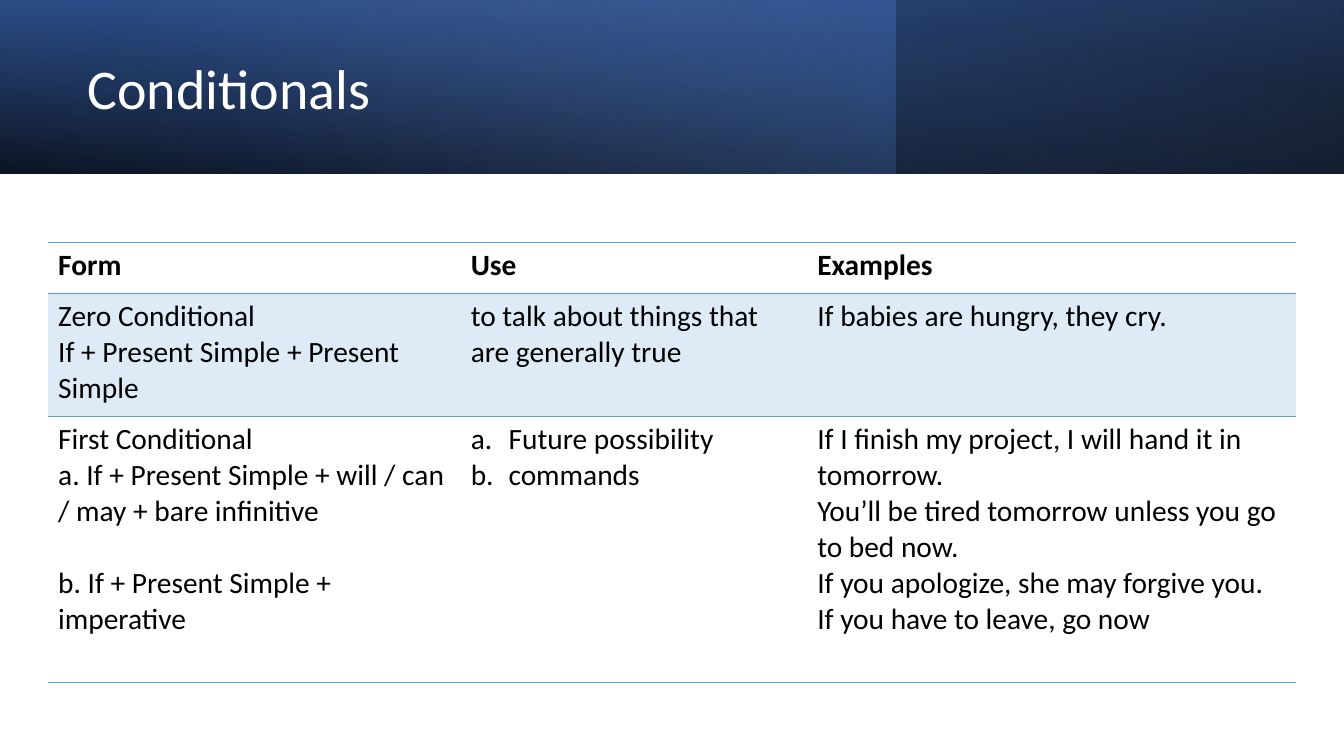
"""Build the grammar slide on conditionals."""
from lxml import etree
from pptx import Presentation
from pptx.dml.color import RGBColor
from pptx.enum import shapes, text
from pptx.oxml import parse_xml
from pptx.oxml.ns import nsdecls, qn
from pptx.util import Pt

BLACK = RGBColor(0x00, 0x00, 0x00)
WHITE = RGBColor(0xFF, 0xFF, 0xFF)
NAVY = RGBColor(0x2F, 0x55, 0x97)
BLUE = RGBColor(0x44, 0x72, 0xC4)
PALE_BLUE = RGBColor(0x8F, 0xAA, 0xDC)
RULE = RGBColor(0x5B, 0x9B, 0xD5)
BAND = RGBColor(0xDE, 0xEB, 0xF7)

FONT = "Calibri"
WIDTH, HEIGHT = 960, 540
PLAIN_STYLE = "{2D5ABB26-0587-4C30-8999-92F81FD0307C}"
COLUMNS = (294.7, 247.5, 349.8)
ROWS = (
    (36.6, (["Form"], ["Use"], ["Examples"])),
    (87.8, (
        ["Zero Conditional", "If + Present Simple + Present Simple"],
        ["to talk about things that are generally true"],
        ["If babies are hungry, they cry."],
    )),
    (190, (
        ["First Conditional",
         "a. If + Present Simple + will / can / may + bare infinitive",
         "b. If + Present Simple + imperative"],
        ["Future possibility", "commands"],
        ["If I finish my project, I will hand it in tomorrow.",
         "You’ll be tired tomorrow unless you go to bed now.",
         "If you apologize, she may forgive you.",
         "If you have to leave, go now"],
    )),
)


def add_run(paragraph, words, size, color, bold=False):
    """Append a formatted run to a paragraph."""
    run = paragraph.add_run()
    run.text = words
    run.font.name = FONT
    run.font.size = Pt(size)
    run.font.bold = bold
    run.font.color.rgb = color


def add_gradient(slide, box, stops, angle, flip=False, rotation=0):
    """Add a rectangle filled with a translucent linear gradient."""
    layer = slide.shapes.add_shape(
        shapes.MSO_SHAPE.RECTANGLE, *(Pt(length) for length in box))
    layer.shadow.inherit = False
    layer.line.fill.background()
    layer.rotation = rotation
    properties = layer._element.spPr
    if flip:
        properties.find(qn("a:xfrm")).set("flipH", "1")
    colors = "".join(
        f'<a:gs pos="{place * 1000}"><a:srgbClr val="{color}">'
        f'<a:alpha val="{alpha * 1000}"/></a:srgbClr></a:gs>'
        for place, color, alpha in stops)
    fill = parse_xml(
        f'<a:gradFill {nsdecls("a")} rotWithShape="1"><a:gsLst>{colors}</a:gsLst>'
        f'<a:lin ang="{angle * 60000}" scaled="0"/></a:gradFill>')
    properties.find(qn("a:prstGeom")).addnext(fill)


def add_banner(slide, left, top, width, height):
    """Layer the banner gradients and set the title over them."""
    full = (left, top, width, height)
    add_gradient(slide, full, ((0, BLACK, 96), (100, NAVY, 100)), 100, True, 180)
    add_gradient(slide, (left, top, width * 2 / 3, height),
                 ((0, BLUE, 41), (74, PALE_BLUE, 0)), 140)
    add_gradient(slide, full, ((0, BLACK, 63), (78, BLUE, 15)), 260, True)

    title = slide.shapes.title
    slide.shapes._spTree.append(title._element)
    title.left, title.top = Pt(left + 55.4), Pt(top + 19.4)
    title.width, title.height = Pt(556), Pt(91.4)
    frame = title.text_frame
    frame.auto_size = text.MSO_AUTO_SIZE.NONE
    frame.vertical_anchor = text.MSO_ANCHOR.MIDDLE
    heading = frame.paragraphs[0]
    heading.alignment = text.PP_ALIGN.LEFT
    heading.line_spacing = 0.9
    add_run(heading, "Conditionals", 40, WHITE)


def add_rules(cell, sides):
    """Draw the horizontal rules of a cell on the given sides."""
    properties = cell._tc.get_or_add_tcPr()
    for position, side in enumerate(sides):
        properties.insert(position, parse_xml(
            f'<a:ln{side} {nsdecls("a")} w="12700"><a:solidFill>'
            f'<a:srgbClr val="{RULE}"/></a:solidFill></a:ln{side}>'))


def add_letter(paragraph):
    """Letter a paragraph with a hanging indent."""
    properties = paragraph._p.get_or_add_pPr()
    properties.set("marL", str(Pt(27)))
    properties.set("indent", str(Pt(-27)))
    numbering = etree.SubElement(properties, qn("a:buAutoNum"))
    numbering.set("type", "alphaLcPeriod")


def fill_cell(cell, lines, header, lettered):
    """Write the lines of one table cell."""
    cell.margin_left = cell.margin_right = Pt(7.6)
    cell.margin_top = cell.margin_bottom = Pt(3.8)
    frame = cell.text_frame
    for index, line in enumerate(lines):
        paragraph = frame.add_paragraph() if index else frame.paragraphs[0]
        if line.startswith("b. "):
            paragraph.space_before = Pt(25.6)
        if lettered:
            add_letter(paragraph)
        add_run(paragraph, line, 21, BLACK, header)


def add_conditionals(slide, left, top, width, height):
    """Add the table of forms, uses and examples."""
    table = slide.shapes.add_table(
        len(ROWS), len(COLUMNS), Pt(left), Pt(top), Pt(width), Pt(height)).table
    table.first_row = True
    table.horz_banding = False
    table._tbl.tblPr.find(qn("a:tableStyleId")).text = PLAIN_STYLE
    for column, column_width in zip(table.columns, COLUMNS):
        column.width = Pt(column_width)
    for row, (row_height, entries) in enumerate(ROWS):
        table.rows[row].height = Pt(row_height)
        for column, lines in enumerate(entries):
            cell = table.cell(row, column)
            fill_cell(cell, lines, row == 0, (row, column) == (2, 1))
            if row == 1:
                cell.fill.solid()
                cell.fill.fore_color.rgb = BAND
            else:
                cell.fill.background()
            add_rules(cell, ("TB", "T", "B")[row])


def main():
    """Build and save the presentation."""
    deck = Presentation()
    deck.slide_width, deck.slide_height = Pt(WIDTH), Pt(HEIGHT)
    slide = deck.slides.add_slide(deck.slide_layouts[5])
    add_banner(slide, 0, 0, WIDTH, 124)
    add_conditionals(slide, 34, 173, sum(COLUMNS), sum(row[0] for row in ROWS))
    deck.save("out.pptx")


if __name__ == "__main__":
    main()
